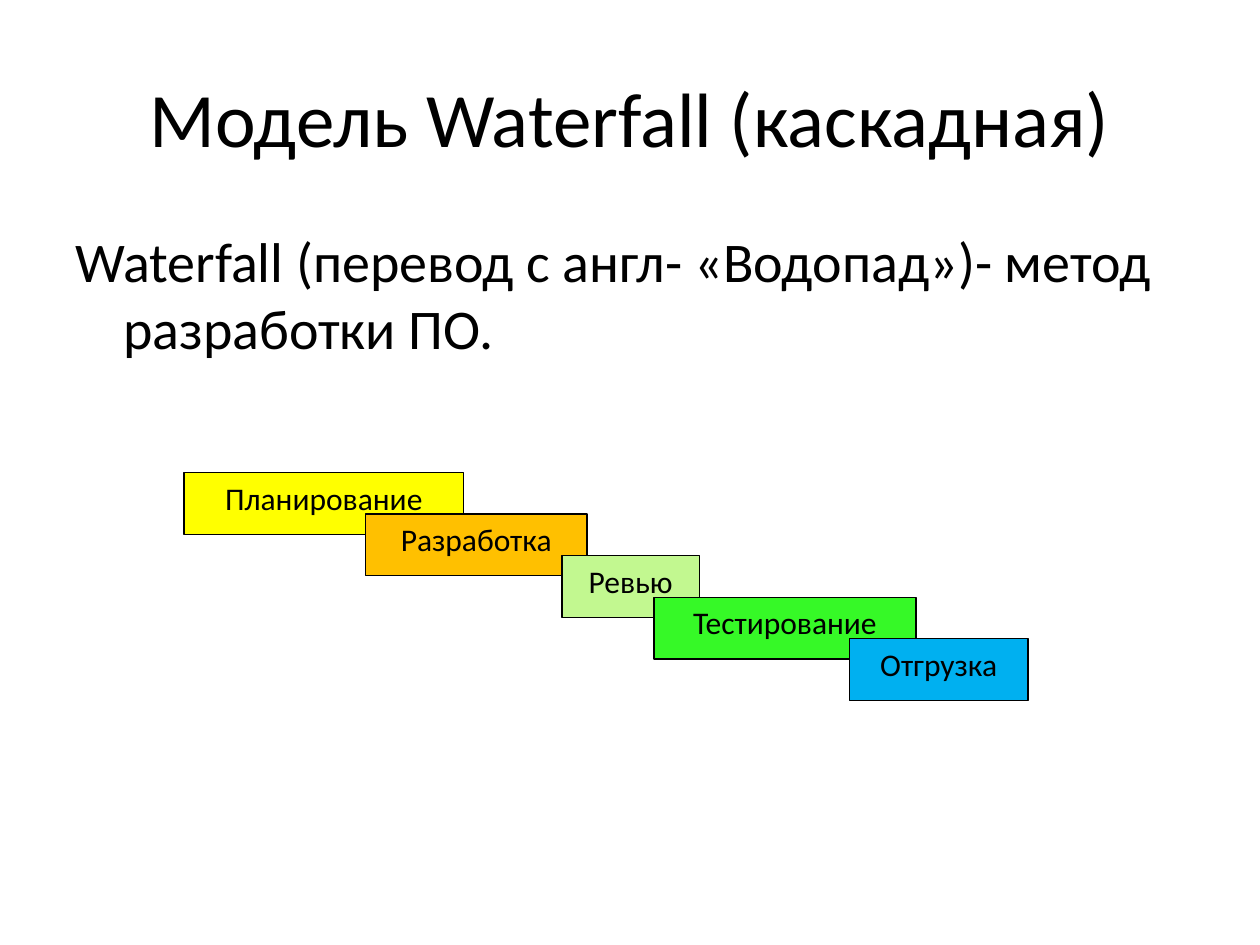
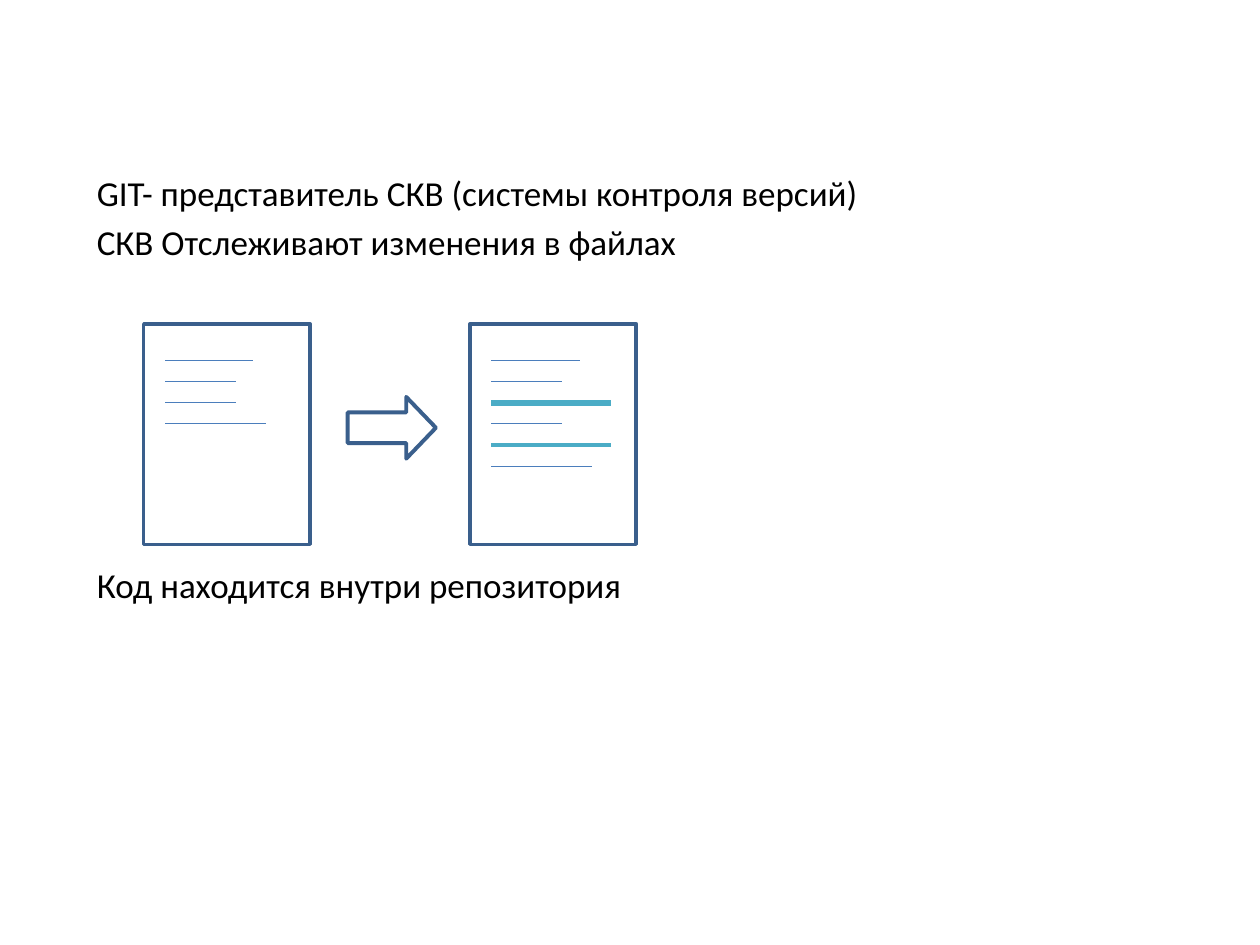
from pptx import Presentation
from pptx import util as u
from pptx.dml.color import RGBColor
from pptx.enum import shapes, text
from pptx.oxml import ns, xmlchemy

COLS, ROWS = 100, 75
BLACK, WHITE = "000000", "FFFFFF"
EDGE, RULE, ADDED = "3A5F8C", "4B7EBC", "4BACC6"
KIND = shapes.MSO_SHAPE


def hue(code):
    return RGBColor.from_string(code)


class Deck:
    """Holds the shared style, the grid and the current slide."""

    font = "Calibri"

    def __init__(self):
        self.prs = Presentation()
        self.prs.slide_width = u.Inches(10)
        self.prs.slide_height = u.Inches(7.5)
        self.page = None

    def col(self, n):
        return round(self.prs.slide_width * n / COLS)

    def row(self, n):
        return round(self.prs.slide_height * n / ROWS)

    def box(self, left, top, wide, high):
        return self.col(left), self.row(top), self.col(wide), self.row(high)

    def start(self, title=None):
        layout = self.prs.slide_layouts[5 if title else 6]
        self.page = self.prs.slides.add_slide(layout)
        if title:
            head = self.page.shapes.title
            head.left, head.top, head.width, head.height = self.box(5, 3, 90, 12.5)
            head.text_frame.text = title
            head.text_frame.vertical_anchor = text.MSO_ANCHOR.MIDDLE
            self.style(head.text_frame.paragraphs[0], 44, text.PP_ALIGN.CENTER)

    def style(self, para, size, align=text.PP_ALIGN.LEFT):
        para.alignment = align
        for run in para.runs:
            run.font.name = self.font
            run.font.size = u.Pt(size)
            run.font.color.rgb = hue(BLACK)

    def body(self, place, lines, size):
        frame = self.page.shapes.add_textbox(*self.box(*place)).text_frame
        frame.word_wrap = True
        frame.text = "\n".join(line for line, _ in lines)
        for para, (_, gap) in zip(frame.paragraphs, lines):
            self.style(para, size)
            para.space_before = u.Pt(gap)
            props = para._p.get_or_add_pPr()
            props.set("marL", str(u.Inches(0.38)))
            props.set("indent", str(u.Inches(-0.38)))

    def shape(self, kind, place, fill, edge, weight):
        item = self.page.shapes.add_shape(kind, *self.box(*place))
        item.shadow.inherit = False
        item.fill.solid()
        item.fill.fore_color.rgb = hue(fill)
        item.line.color.rgb = hue(edge)
        item.line.width = u.Pt(weight)
        return item

    def label(self, place, words, fill):
        frame = self.shape(KIND.RECTANGLE, place, fill, BLACK, 0.75).text_frame
        frame.word_wrap = False
        frame.vertical_anchor = text.MSO_ANCHOR.TOP
        frame.text = words
        self.style(frame.paragraphs[0], 18, text.PP_ALIGN.CENTER)

    def rule(self, left, top, wide, color, weight):
        line = self.page.shapes.add_connector(
            shapes.MSO_CONNECTOR.STRAIGHT,
            self.col(left), self.row(top), self.col(left + wide), self.row(top))
        line.line.color.rgb = hue(color)
        line.line.width = u.Pt(weight)
        line._element.spPr.append(xmlchemy.OxmlElement("a:effectLst"))

    def file(self, left, lines):
        self.shape(KIND.RECTANGLE, (left, 25.7, 13.2, 17.5), WHITE, EDGE, 2)
        for i, (wide, color, weight) in enumerate(lines):
            self.rule(left + 1.7, 28.6 + 1.68 * i, wide, color, weight)


def main():
    deck = Deck()

    deck.start("Модель Waterfall (каскадная)")
    deck.body((5, 17.5, 90, 49.5), [
        ("Waterfall (перевод с англ- «Водопад»)- метод разработки ПО.", 6.4)], 32)
    steps = [
        ("Планирование", 14.6, 22.2, "FFFF00"),
        ("Разработка", 29, 17.6, "FFC000"),
        ("Ревью", 44.6, 10.9, "C2F890"),
        ("Тестирование", 51.9, 20.8, "36F927"),
        ("Отгрузка", 67.4, 14.2, "00B0F0"),
    ]
    for i, (words, left, wide, fill) in enumerate(steps):
        deck.label((left, 37.5 + 3.3 * i, wide, 4.9), words, fill)

    deck.start()
    deck.body((6.7, 13.1, 75.6, 51.1), [
        ("GIT- представитель СКВ (системы контроля версий)", 4),
        ("СКВ Отслеживают изменения в файлах", 4),
        ("Код находится внутри репозитория", 172)], 20)
    long, short, last = [(wide, RULE, 0.75) for wide in (7, 5.6, 8)]
    deck.file(37.3, [long, short, (9.5, ADDED, 3.25), short,
                     (9.5, ADDED, 2.75), last])
    arrow = deck.shape(KIND.RIGHT_ARROW, (27.6, 31.5, 7, 4.9), WHITE, EDGE, 2.25)
    arrow.adjustments[1] = 0.48
    deck.file(11.4, [long, short, short, last])

    deck.prs.save("out.pptx")


if __name__ == "__main__":
    main()
